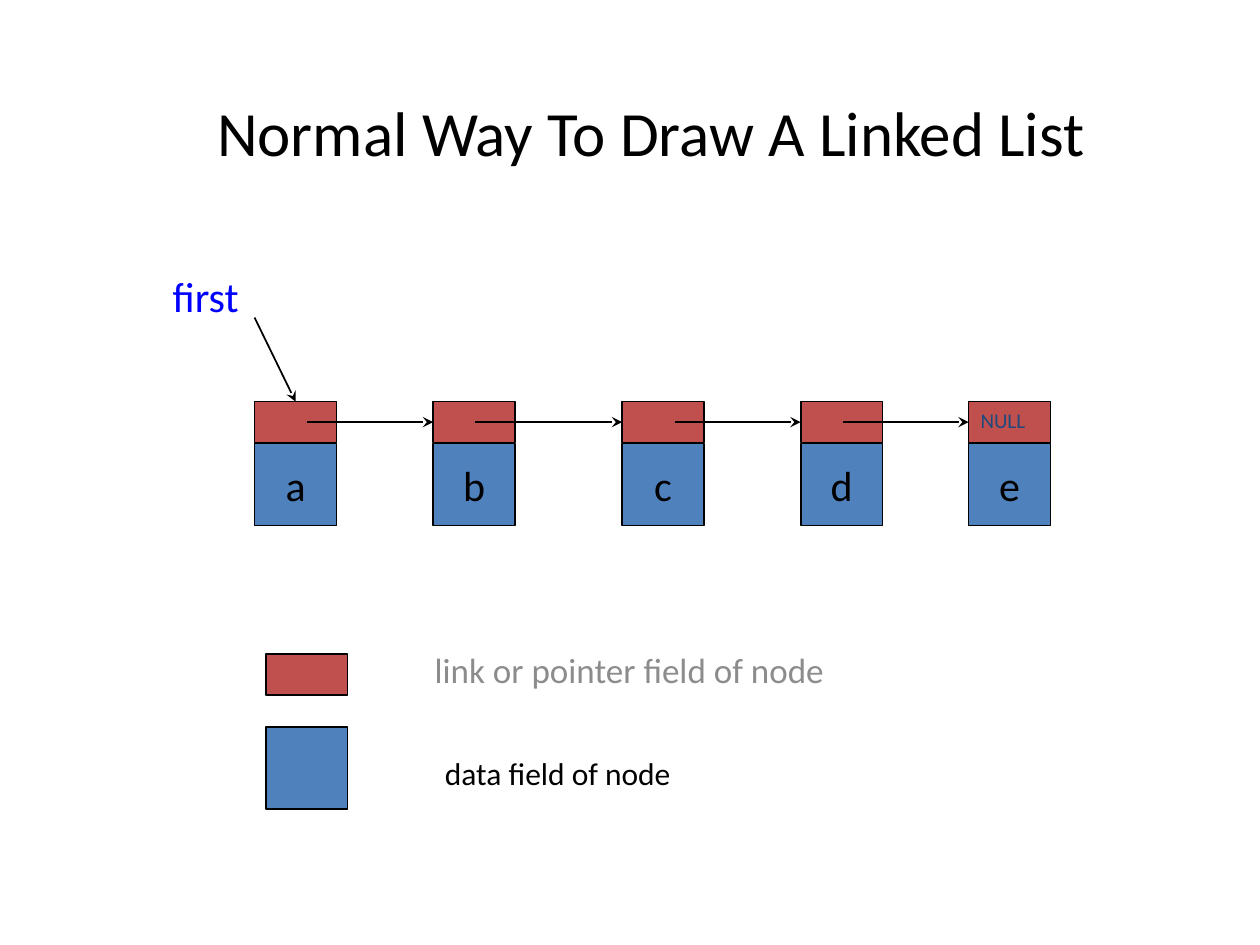
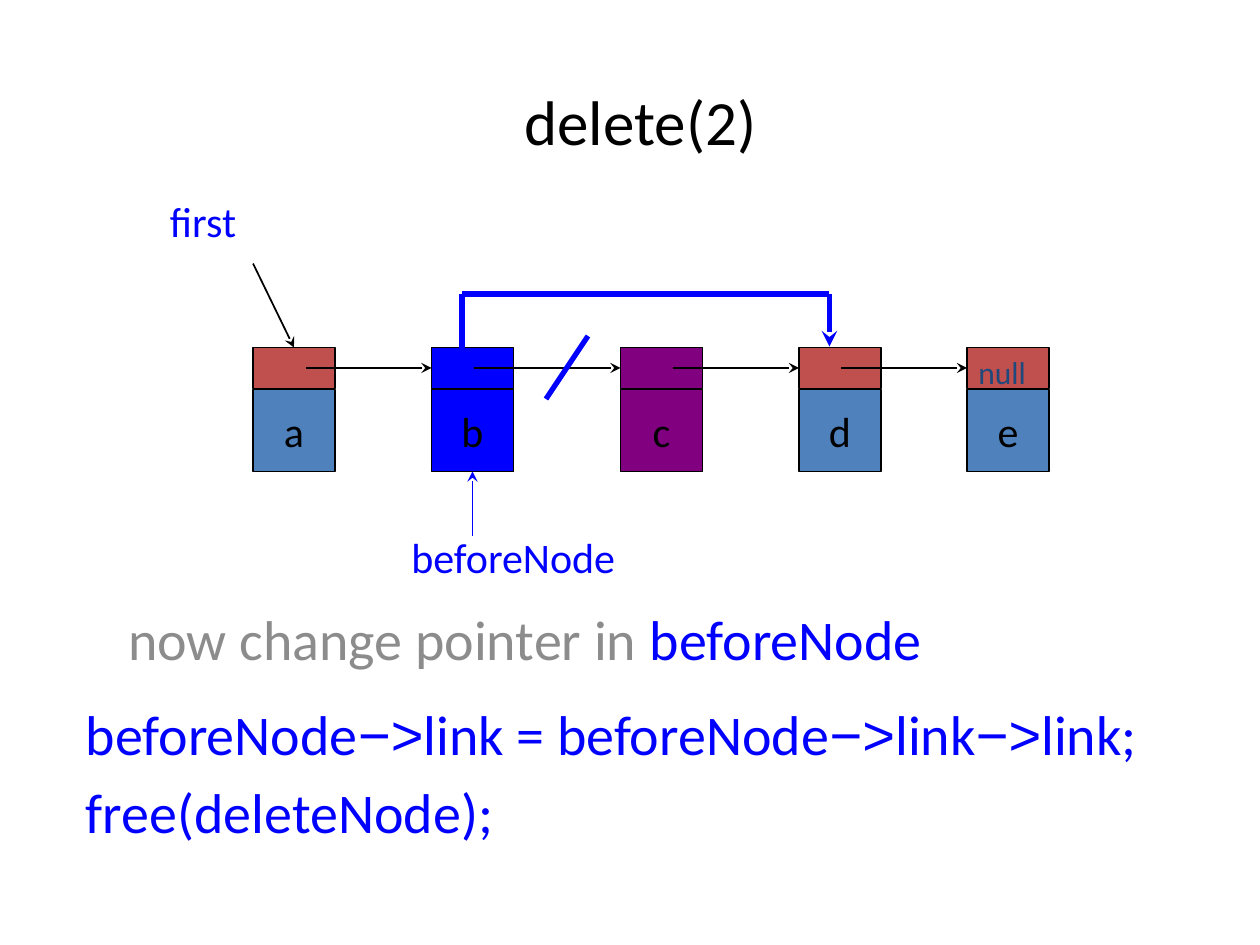
from itertools import pairwise

from lxml.etree import SubElement
from pptx import Presentation
from pptx.dml.color import RGBColor
from pptx.enum.shapes import MSO_CONNECTOR as CONN, MSO_SHAPE as SHAPE
from pptx.enum.text import MSO_ANCHOR as ANCHOR, MSO_AUTO_SIZE as AUTO, PP_ALIGN as ALIGN
from pptx.oxml.ns import qn
from pptx.util import Inches, Pt

BLACK = RGBColor(0x00, 0x00, 0x00)
GRAY = RGBColor(0x8C, 0x8C, 0x8C)
RED = RGBColor(0xC0, 0x50, 0x4D)
STEEL = RGBColor(0x4F, 0x81, 0xBD)
NAVY = RGBColor(0x1F, 0x49, 0x7D)
BLUE = RGBColor(0x00, 0x00, 0xFF)
PURPLE = RGBColor(0x80, 0x00, 0x80)
FONT, SYMBOL_FONT = "Calibri", "Arial"

COLS, ROWS = 120, 90  # grid units, twelve to the inch
CELL, POINTER_H, DATA_OFFSET = 7.8, 3.9, 4
NODE_COLS = {"a": 0, "b": 17, "c": 35, "d": 52, "e": 68}
LINK_STARTS = (5, 4, 5, 4)
TOP, LEFT, BOTTOM = 0, 1, 2


def grid(*units):
    return [Inches(n / 12) for n in units]


def write(tf, lines, size, color, align=ALIGN.LEFT, gap=0):
    """Each line is a list of (text, run colour or None, run font or None)."""
    tf.word_wrap = True
    tf.auto_size = AUTO.NONE
    for i, line in enumerate(lines):
        p = tf.add_paragraph() if i else tf.paragraphs[0]
        p.alignment = align
        p.space_before = Pt(gap if i else 0)
        p.font.size, p.font.name = Pt(size), FONT
        p.font.color.rgb = color
        for text, run_color, run_font in line:
            r = p.add_run()
            r.text = text
            if run_color is not None:
                r.font.color.rgb = run_color
            if run_font:
                r.font.name = run_font


def plain(text):
    return [[(text, None, None)]]


def place(sp, box):
    sp.left, sp.top, sp.width, sp.height = grid(*box)


def add_titled_slide(prs, title, title_box, body, body_box, body_size):
    s = prs.slides.add_slide(prs.slide_layouts[0])
    place(s.shapes.title, title_box)
    tf = s.shapes.title.text_frame
    tf.vertical_anchor = ANCHOR.MIDDLE
    write(tf, plain(title), 36, BLACK, ALIGN.CENTER)
    subtitle = s.placeholders[1]
    place(subtitle, body_box)
    write(subtitle.text_frame, body, body_size, GRAY)
    return s


def add_label(s, box, lines, size, color, gap=0):
    sp = s.shapes.add_textbox(*grid(*box))
    write(sp.text_frame, lines, size, color, gap=gap)


def add_field(s, x, y, height, fill, letter=""):
    sp = s.shapes.add_shape(SHAPE.RECTANGLE, *grid(x, y, CELL, height))
    sp.shadow.inherit = False
    sp.fill.solid()
    sp.fill.fore_color.rgb = fill
    sp.line.color.rgb = BLACK
    sp.line.width = Pt(1)
    if letter:
        sp.text_frame.vertical_anchor = ANCHOR.MIDDLE
        write(sp.text_frame, plain(letter), 24, BLACK, ALIGN.CENTER)
    return sp


def add_line(s, start, end, color=BLACK, width=1, arrow=False, target=None):
    """target is (shape, side) for a line that ends on a side's middle."""
    c = s.shapes.add_connector(CONN.STRAIGHT, *grid(*start, *end))
    if target:
        c.end_connect(*target)
    c.line.color.rgb = color
    c.line.width = Pt(width)
    if arrow:
        SubElement(c.line._get_or_add_ln(), qn("a:tailEnd"), type="stealth")
    SubElement(c._element.spPr, qn("a:effectLst"))


def add_linked_list(s, x, y, first_box, null_text, null_box, null_size, fills=None):
    """Draw the chain and return its (pointer, data) fields by letter."""
    nodes = {}
    for letter, col in NODE_COLS.items():
        pointer_fill, data_fill = (fills or {}).get(letter, (RED, STEEL))
        data = add_field(s, x + col, y + DATA_OFFSET, CELL, data_fill, letter)
        pointer = add_field(s, x + col, y, POINTER_H, pointer_fill)
        nodes[letter] = pointer, data
    mid = y + POINTER_H / 2
    for (a, b), start in zip(pairwise(NODE_COLS), LINK_STARTS):
        add_line(s, (x + NODE_COLS[a] + start, mid), (x + NODE_COLS[b], mid),
                 arrow=True, target=(nodes[b][0], LEFT))
    add_label(s, null_box, plain(null_text), null_size, NAVY)
    add_label(s, first_box, plain("first"), 24, BLUE)
    add_line(s, (x, y - 8), (x + CELL / 2, y), arrow=True, target=(nodes["a"][0], TOP))
    return nodes


def build_drawing_slide(prs):
    s = add_titled_slide(prs, "Normal Way To Draw A Linked List", (11, 5, 102, 15),
                         plain("link or pointer field of node"), (40.2, 61.2, 45.8, 5.2), 20)
    add_field(s, 25.3, 62.3, POINTER_H, RED)
    add_field(s, 25.3, 69.25, CELL, STEEL)
    add_label(s, (41.2, 71.2, 66, 5.2), plain("data field of node"), 18, BLACK)
    add_linked_list(s, 24.25, 38.25, (15.25, 25.2, 22, 6), "NULL", (92.2, 38.2, 8, 3.6), 12)


def build_delete_slide(prs):
    body = [[("now change pointer in", None, None), (" beforeNode", BLUE, None)]]
    s = add_titled_slide(prs, "delete(2)", (10, 4, 102, 15), body, (11, 57, 102, 13), 32)
    arrow = ("−>", None, SYMBOL_FONT)
    code = [[("beforeNode", None, None), arrow, ("link = beforeNode", None, None), arrow,
             ("link", None, None), arrow, ("link;", None, None)],
            [("free(deleteNode);", None, None)]]
    add_label(s, (7, 66, 113, 13), code, 32, BLUE, gap=6.4)
    add_label(s, (38, 50, 24, 6), plain("beforeNode"), 24, BLUE)
    nodes = add_linked_list(s, 24.1, 33.1, (15, 18, 22, 6), "null", (92, 33, 8, 5.2), 18,
                            {"b": (BLUE, BLUE), "c": (PURPLE, PURPLE)})
    detour = [(44, 35), (44, 28), (79, 28), (79, 33)]
    for start, end in pairwise(detour):
        add_line(s, start, end, BLUE, 3, arrow=end == detour[-1])
    add_line(s, (56, 32), (52, 38), BLUE, 3)
    add_line(s, (45, 51), (45, 45), BLUE, arrow=True, target=(nodes["b"][1], BOTTOM))


def main():
    prs = Presentation()
    prs.slide_width, prs.slide_height = grid(COLS, ROWS)
    build_drawing_slide(prs)
    build_delete_slide(prs)
    prs.save("out.pptx")


if __name__ == "__main__":
    main()
